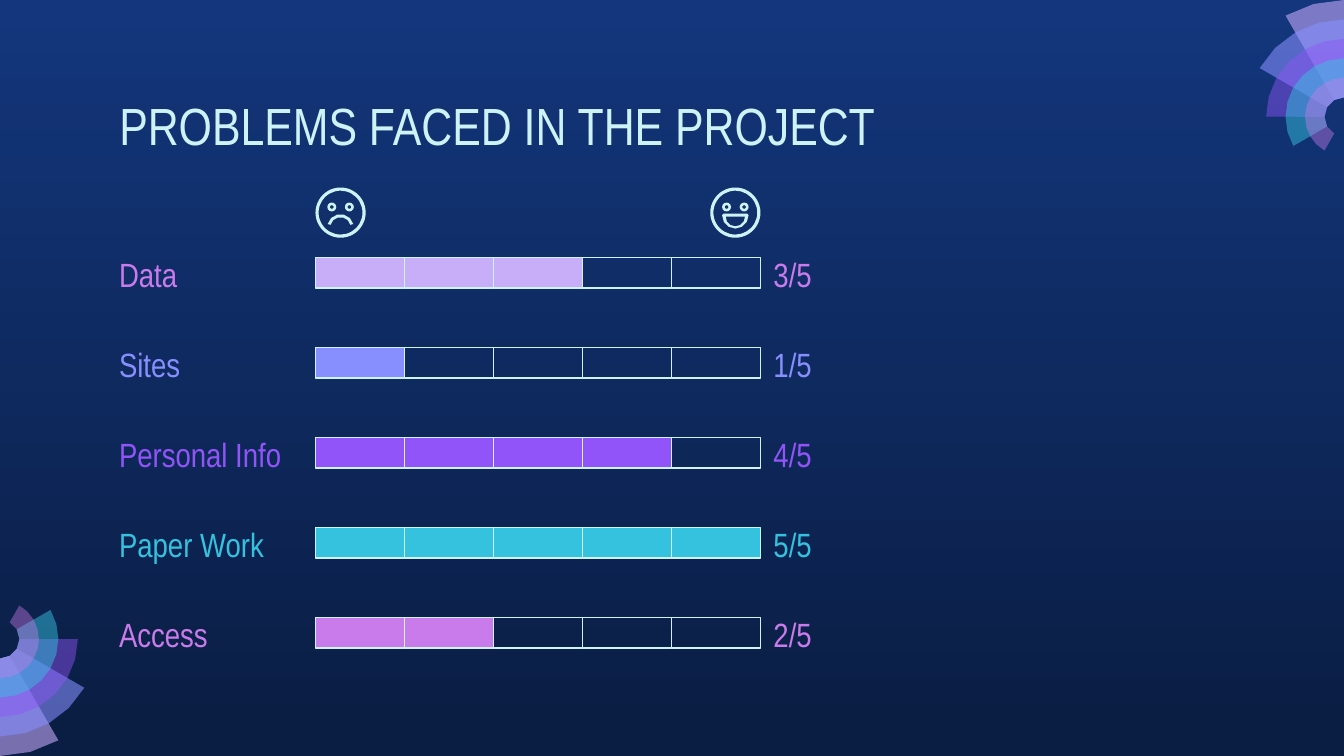
"""Build the slide that rates five project problems on five-step bars."""
from dataclasses import dataclass
from math import cos, radians, sin

from lxml.etree import SubElement
from pptx import Presentation
from pptx.dml.color import RGBColor
from pptx.enum.shapes import MSO_SHAPE
from pptx.enum.text import MSO_ANCHOR, MSO_AUTO_SIZE, PP_ALIGN
from pptx.oxml.ns import qn
from pptx.shapes.autoshape import Shape
from pptx.slide import Slide
from pptx.text.text import TextFrame
from pptx.util import Pt

Point = tuple[float, float]

COLORS = {
    "top": "13367C",
    "bottom": "0A1D42",
    "ice": "CEF3F5",
    "mist": "C8ACFD",
    "lilac": "C8AEF8",
    "periwinkle": "878FFF",
    "violet": "9154F8",
    "cyan": "35C2DF",
    "orchid": "CA7BEB",
}
FONT = "Arial Narrow"
STEPS = 5
BAR_LEFT, BAR_TOP, ROW_PITCH = 169, 137.9, 48.24
CELL_WIDTH, CELL_HEIGHT = 47.68, 16.4
LABEL_LEFT, LABEL_WIDTH = 56.7, 112.3
SCORE_LEFT, SCORE_WIDTH = 407.3, 46.1
TEXT_RISE, TEXT_HEIGHT = 10.5, 37.4
RING = 10.43
FACE_Y, FACE_SIZE, EYE_SIZE = 113.9, 26.9, 4.8
FRAME_FORMAT = {
    "word_wrap": True,
    "auto_size": MSO_AUTO_SIZE.NONE,
    "margin_left": Pt(7.2),
    "margin_right": Pt(7.2),
    "margin_top": Pt(7.2),
    "margin_bottom": Pt(7.2),
}


@dataclass(frozen=True)
class Problem:
    name: str
    score: int
    text_color: str
    bar_color: str


@dataclass(frozen=True)
class Sector:
    rings: int
    end_angle: int
    color: str
    opacity: int


PROBLEMS = [
    Problem("Data", 3, "orchid", "lilac"),
    Problem("Sites", 1, "periwinkle", "periwinkle"),
    Problem("Personal Info", 4, "violet", "violet"),
    Problem("Paper Work", 5, "cyan", "cyan"),
    Problem("Access", 2, "orchid", "orchid"),
]
SECTORS = [
    Sector(6, 120, "mist", 58),
    Sector(5, 150, "periwinkle", 58),
    Sector(4, 180, "violet", 46),
    Sector(3, 210, "cyan", 49),
    Sector(2, 240, "orchid", 42),
]


def rgb(name: str) -> RGBColor:
    return RGBColor.from_string(COLORS[name])


def paint(shape: Shape, color: str) -> None:
    shape.shadow.inherit = False
    shape.fill.solid()
    shape.fill.fore_color.rgb = rgb(color)
    shape.line.fill.background()


def write(frame: TextFrame, text: str, size: float, color: str, anchor: MSO_ANCHOR) -> None:
    for name, value in FRAME_FORMAT.items():
        setattr(frame, name, value)
    frame.vertical_anchor = anchor
    paragraph = frame.paragraphs[0]
    paragraph.alignment = PP_ALIGN.LEFT
    run = paragraph.add_run()
    run.text = text
    for name, value in {"name": FONT, "size": Pt(size), "bold": False}.items():
        setattr(run.font, name, value)
    run.font.color.rgb = rgb(color)


def arc(x: float, y: float, radius: float, start: int, end: int, step: int = 30) -> list[Point]:
    step = step if end > start else -step
    return [
        (x + radius * cos(radians(angle)), y - radius * sin(radians(angle)))
        for angle in range(start, end + step, step)
    ]


def add_outline(slide: Slide, contours: list[list[Point]], color: str) -> Shape:
    contours = [[(Pt(x), Pt(y)) for x, y in contour] for contour in contours]
    builder = slide.shapes.build_freeform(*contours[0][0], scale=1.0)
    builder.add_line_segments(contours[0][1:], close=True)
    for contour in contours[1:]:
        builder.move_to(*contour[0])
        builder.add_line_segments(contour[1:], close=True)
    shape = builder.convert_to_shape()
    paint(shape, color)
    return shape


def add_fan(slide: Slide, x: float, y: float, turn: int) -> None:
    for sector in SECTORS:
        start, end = 90 + turn, sector.end_angle + turn
        outer = arc(x, y, sector.rings * RING, start, end, 15)
        inner = arc(x, y, RING, end, start)
        shape = add_outline(slide, [outer + inner], sector.color)
        color = shape.element.spPr.find(qn("a:solidFill")).find(qn("a:srgbClr"))
        SubElement(color, qn("a:alpha"), val=str(sector.opacity * 1000))


def add_ring(slide: Slide, x: float, y: float, size: float, thickness: float) -> None:
    shape = slide.shapes.add_shape(
        MSO_SHAPE.DONUT, Pt(x - size / 2), Pt(y - size / 2), Pt(size), Pt(size)
    )
    shape.adjustments[0] = thickness / size
    paint(shape, "ice")


def add_face(slide: Slide, x: float, mouth: list[list[Point]]) -> None:
    add_ring(slide, x, FACE_Y, FACE_SIZE, 1.7)
    for offset in (-4.7, 4.7):
        add_ring(slide, x + offset, FACE_Y - 3, EYE_SIZE, 1.4)
    add_outline(slide, mouth, "ice")


def sad_mouth(x: float) -> list[list[Point]]:
    y = FACE_Y + 8
    return [arc(x, y, 7.1, 15, 165) + arc(x, y, 5.5, 165, 15)]


def happy_mouth(x: float) -> list[list[Point]]:
    y = FACE_Y + 1.5
    lip = [(x - 6.4, y - 0.9), (x + 6.4, y - 0.9)]
    return [lip + arc(x, y, 7.1, 360, 180), arc(x, y + 0.7, 5.2, 360, 180)]


def add_label(slide: Slide, text: str, color: str, left: float, top: float, width: float) -> None:
    box = slide.shapes.add_textbox(Pt(left), Pt(top), Pt(width), Pt(TEXT_HEIGHT))
    write(box.text_frame, text, 18, color, MSO_ANCHOR.BOTTOM)


def add_problem(slide: Slide, problem: Problem, top: float) -> None:
    for step in range(STEPS):
        cell = slide.shapes.add_shape(
            MSO_SHAPE.RECTANGLE, Pt(BAR_LEFT + step * CELL_WIDTH), Pt(top),
            Pt(CELL_WIDTH), Pt(CELL_HEIGHT),
        )
        paint(cell, problem.bar_color)
        if step >= problem.score:
            cell.fill.background()
        cell.line.color.rgb = rgb("ice")
        cell.line.width = Pt(0.75)
    text_top = top - TEXT_RISE
    add_label(slide, problem.name, problem.text_color, LABEL_LEFT, text_top, LABEL_WIDTH)
    score = f"{problem.score}/{STEPS}"
    add_label(slide, score, problem.text_color, SCORE_LEFT, text_top, SCORE_WIDTH)


def main() -> None:
    presentation = Presentation()
    presentation.slide_width, presentation.slide_height = Pt(720), Pt(405)
    slide = presentation.slides.add_slide(presentation.slide_layouts[5])
    background = slide.background.fill
    background.gradient()
    background.gradient_angle = 270
    for stop, color in zip(background.gradient_stops, ("top", "bottom")):
        stop.color.rgb = rgb(color)

    add_fan(slide, 720, 6 * RING, 0)
    add_fan(slide, 0, 405 - 6 * RING, 180)

    title = slide.shapes.title
    title.left, title.top, title.width, title.height = Pt(56.7), Pt(42.5), Pt(607), Pt(45.4)
    write(title.text_frame, "PROBLEMS FACED IN THE PROJECT", 28, "ice", MSO_ANCHOR.TOP)

    left_face = BAR_LEFT + FACE_SIZE / 2
    right_face = BAR_LEFT + STEPS * CELL_WIDTH - FACE_SIZE / 2
    add_face(slide, left_face, sad_mouth(left_face))
    add_face(slide, right_face, happy_mouth(right_face))
    for row, problem in enumerate(PROBLEMS):
        add_problem(slide, problem, BAR_TOP + row * ROW_PITCH)
    presentation.save("out.pptx")


if __name__ == "__main__":
    main()
